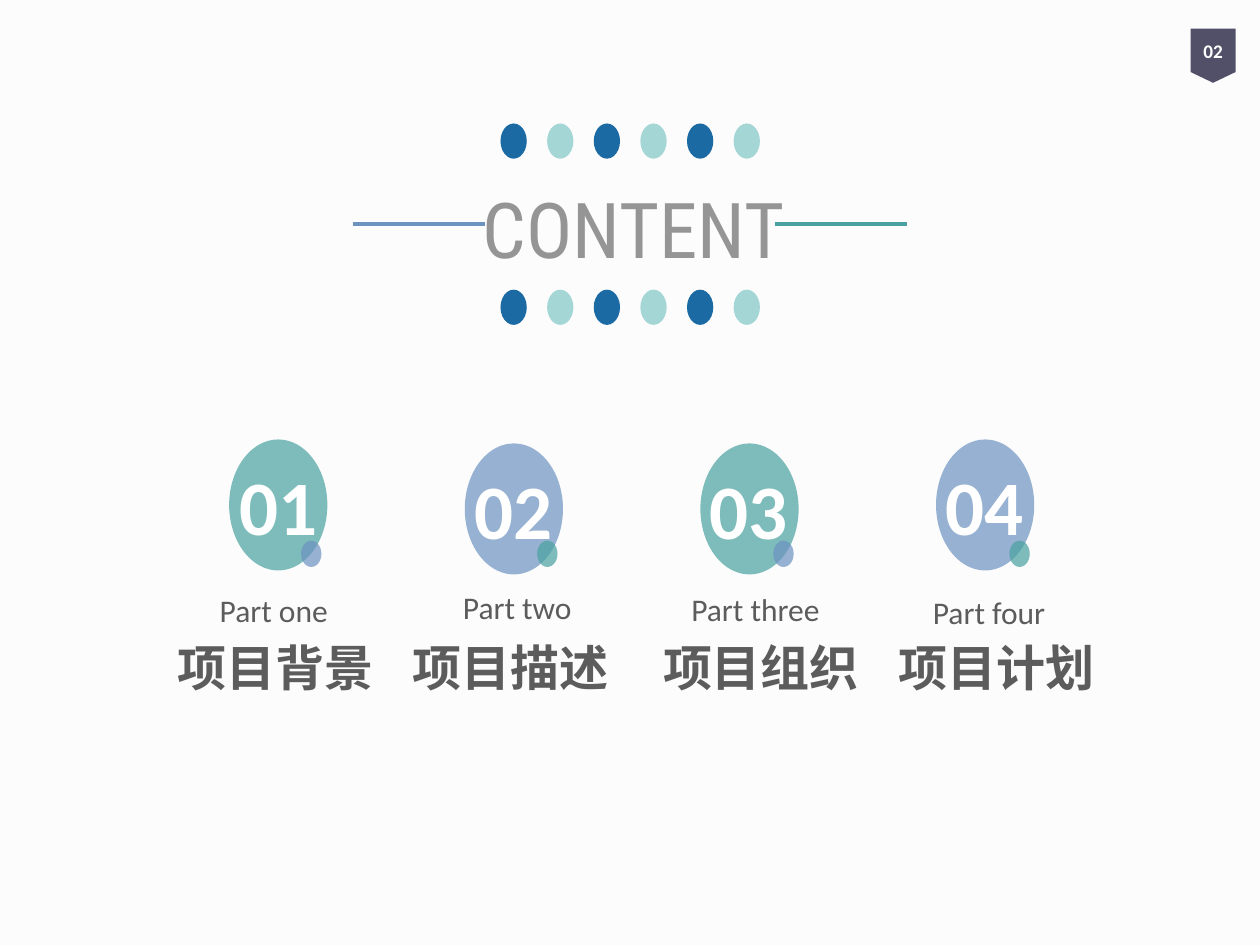
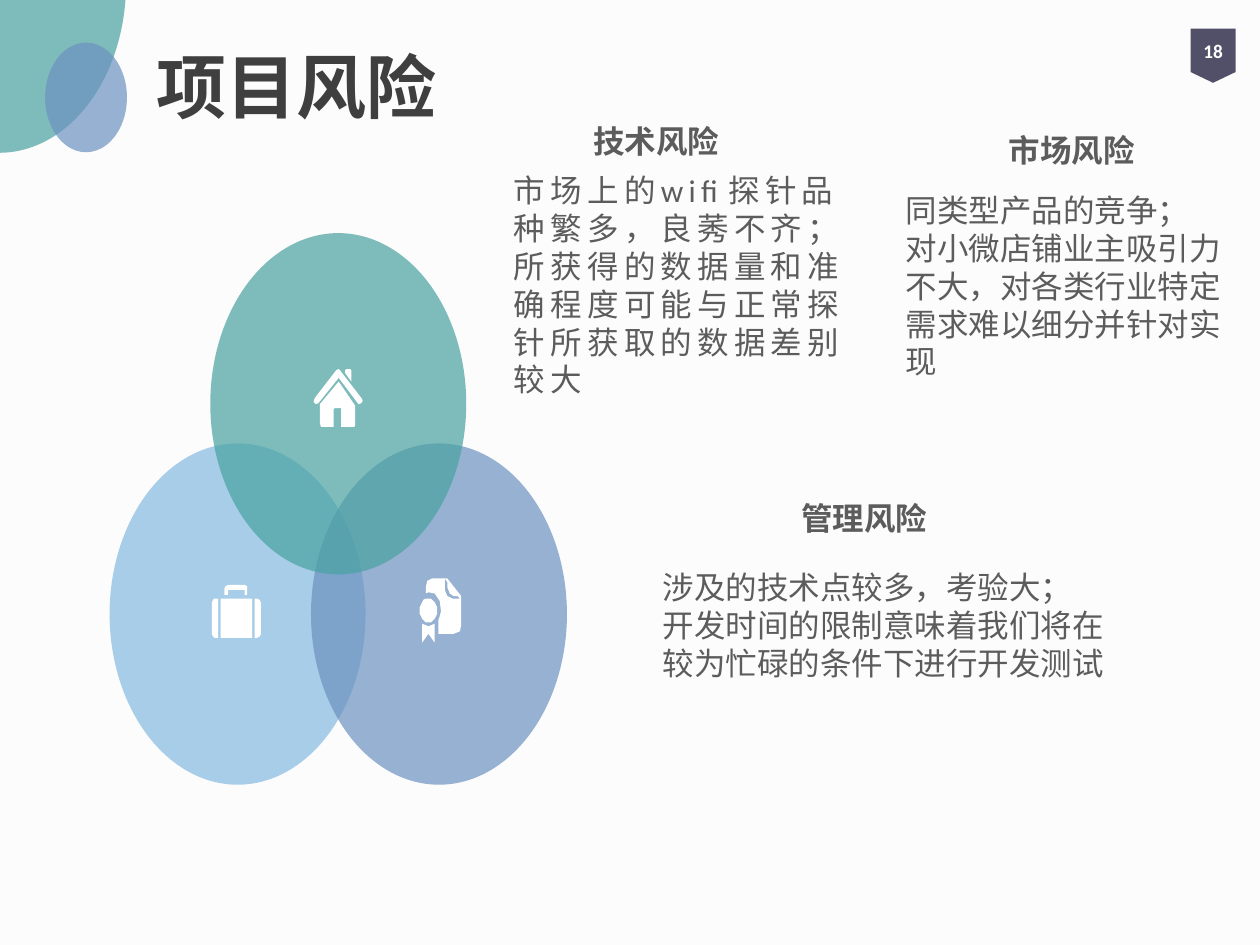
from math import cos, pi, sin

from lxml.etree import SubElement
from pptx import Presentation
from pptx.dml.color import RGBColor
from pptx.enum.lang import MSO_LANGUAGE_ID as Lang
from pptx.enum.shapes import MSO_CONNECTOR as Connector, MSO_SHAPE as Shape
from pptx.enum.text import MSO_ANCHOR as Anchor, MSO_AUTO_SIZE as AutoSize, PP_ALIGN as Align
from pptx.oxml.ns import qn
from pptx.util import Cm, Pt

# Shared colours
PAPER, WHITE, BADGE = "FCFCFC", "FFFFFF", "525068"
TEAL, PERIWINKLE, SKY = "48A2A0", "6C92C0", "0070C0"
NAVY, MINT = "1B6AA3", "A4D6D5"
GREY, LIGHT_GREY, DARK_GREY = "5C5C5C", "959595", "3F3F3F"

# Icon outlines, in hundredths of an inch from the icon's corner
MEDAL = [(7 + 7 * cos(pi * k / 12), 25.5 + 9.5 * sin(pi * k / 12)) for k in range(24)]
HOUSE_ICON = [
    [(30, 1), (29, 0), (26, 0), (25, 1), (25, 3), (30, 10)],
    [(38, 23), (21, 1), (19.5, 0.3), (18, 1), (1, 23), (0, 25.5), (1, 27), (2.5, 28),
     (4, 27), (20, 7), (35, 27), (36.5, 28.4), (38, 27), (38.8, 25)],
    [(5, 28), (5, 43), (6, 45.5), (8, 46), (16, 46), (16, 32), (17, 31), (22, 31),
     (22, 46), (32, 46), (33, 45), (33, 29), (20, 10)],
]
BRIEFCASE_ICON = [
    [(13, 4), (26, 4), (26, 8), (28, 8), (28, 3), (27.5, 1), (26, 0), (13, 0),
     (11, 1), (10, 3), (10, 8), (13, 8)],
    [(0, 14), (0, 39), (0.6, 41.4), (2, 42), (5, 42), (5, 11), (2, 11), (0.6, 11.6)],
    [(7, 42), (32, 42), (32, 11), (7, 11)],
    [(36, 11), (34, 11), (34, 42), (36, 42), (38.4, 41.4), (39, 39), (39, 14), (38.4, 11.6)],
]
CERTIFICATE_ICON = [
    [(22, 0), (10, 0), (6.5, 2), (5, 7), (5, 12), (7, 11), (11.5, 12.2), (15.5, 18),
     (17, 26), (16.5, 30), (15, 33), (15, 44), (27, 44), (31.5, 42), (33, 37), (33, 14)],
    [(26, 16), (21.5, 14), (20, 9), (20, 0), (22, 3), (22, 7), (23.5, 12), (27, 14),
     (30, 14), (32, 16)],
    [(2, 36), (2, 51), (7, 44), (12, 51), (12, 36), (7, 38)],
    MEDAL,
]


def rgb(hex_colour):
    return RGBColor.from_string(hex_colour)


def write(frame, text, size=18, color=GREY, font="Calibri", bold=False,
          align=Align.LEFT, wrap=True, anchor=Anchor.TOP, spacing=None):
    """Fill a text frame, one paragraph per line of text."""
    frame.word_wrap = wrap
    frame.auto_size = AutoSize.NONE
    frame.vertical_anchor = anchor
    for index, line in enumerate(text.split("\n")):
        paragraph = frame.add_paragraph() if index else frame.paragraphs[0]
        paragraph.alignment = align
        run = paragraph.add_run()
        run.text = line
        run.font.name, run.font.size, run.font.bold = font, Pt(size), bold
        run.font.color.rgb = rgb(color)
        run.font.language_id = Lang.SIMPLIFIED_CHINESE
        if spacing:
            run._r.get_or_add_rPr().set("spc", str(spacing * 100))


class Deck:
    def __init__(self):
        self.prs = Presentation()
        self.prs.slide_width, self.prs.slide_height = Cm(25.4), Cm(19.05)
        background = self.prs.slide_master.background.fill
        background.solid()
        background.fore_color.rgb = rgb(PAPER)
        self.slide = None

    def new_slide(self, page):
        """Add a title-only slide with its page badge."""
        self.slide = self.prs.slides.add_slide(self.prs.slide_layouts[5])
        badge = self.shape(Shape.FLOWCHART_OFFPAGE_CONNECTOR, 24, 0.58, 0.91, 1.09, BADGE)
        frame = badge.text_frame
        frame.margin_left = frame.margin_right = 0
        write(frame, page, size=11, color=WHITE, bold=True,
              align=Align.CENTER, anchor=Anchor.MIDDLE)

    def title(self, text, left, top, width, height, **style):
        title = self.slide.shapes.title
        title.left, title.top, title.width, title.height = map(Cm, (left, top, width, height))
        write(title.text_frame, text, wrap=False, **style)

    def text(self, text, left, top, width, height, **style):
        box = self.slide.shapes.add_textbox(*map(Cm, (left, top, width, height)))
        write(box.text_frame, text, **style)

    def paint(self, shape, color, opacity=100):
        shape.shadow.inherit = False
        shape.line.fill.background()
        shape.fill.solid()
        shape.fill.fore_color.rgb = rgb(color)
        if opacity < 100:
            tint = shape._element.spPr.find(qn("a:solidFill")).find(qn("a:srgbClr"))
            SubElement(tint, qn("a:alpha")).set("val", str(opacity * 1000))
        return shape

    def shape(self, preset, left, top, width, height, color, opacity=100):
        shape = self.slide.shapes.add_shape(preset, *map(Cm, (left, top, width, height)))
        return self.paint(shape, color, opacity)

    def ellipse(self, left, top, width, height, color, opacity=70):
        return self.shape(Shape.OVAL, left, top, width, height, color, opacity)

    def line(self, start, end, y, color):
        rule = self.slide.shapes.add_connector(
            Connector.STRAIGHT, Cm(start), Cm(y), Cm(end), Cm(y))
        rule.line.color.rgb, rule.line.width = rgb(color), Pt(2)
        SubElement(rule._element.spPr, qn("a:effectLst"))

    def icon(self, outlines, left, top):
        first, *others = outlines
        builder = self.slide.shapes.build_freeform(*first[0], scale=Cm(2.54) / 100)
        builder.add_line_segments(first[1:])
        for outline in others:
            builder.move_to(*outline[0])
            builder.add_line_segments(outline[1:])
        self.paint(builder.convert_to_shape(Cm(left), Cm(top)), WHITE)


def contents_slide(deck):
    deck.new_slide("02")

    # Heading between two rules and two rows of dots
    deck.title("CONTENT", 8.66, 3.53, 8.23, 2.36, size=44, font="Roboto Condensed",
               color=LIGHT_GREY, align=Align.CENTER)
    deck.line(7.11, 9.78, 4.52, PERIWINKLE)
    deck.line(15.62, 18.29, 4.52, TEAL)
    for row_top in (2.49, 5.84):
        for column in range(6):
            deck.ellipse(10.09 + 0.94 * column, row_top, 0.53, 0.71,
                         (NAVY, MINT)[column % 2], opacity=100)

    # Four parts: bubble top, label place, name place
    parts = [
        ("Part one", "项目背景", 8.86, 4.02, 11.79, 3.11),
        ("Part two", "项目描述", 8.94, 8.93, 11.73, 7.84),
        ("Part three", "项目组织", 8.94, 13.73, 11.76, 12.89),
        ("Part four", "项目计划", 8.86, 18.44, 11.84, 17.64),
    ]
    for index, (label, name, bubble_top, label_left, label_top, name_left) in enumerate(parts):
        bubble, dot = (TEAL, PERIWINKLE) if index % 2 == 0 else (PERIWINKLE, TEAL)
        deck.ellipse(4.62 + 4.75 * index, bubble_top, 1.98, 2.64, bubble)
        deck.text(f"{index + 1:02}", 4.57 + 4.74 * index, bubble_top + 0.25, 2.1, 2.13,
                  size=44, color=WHITE, bold=True, align=Align.CENTER, wrap=False)
        deck.ellipse(6.07 + 4.76 * index, 10.9, 0.41, 0.53, dot)
        deck.text(label, label_left, label_top, 3, 1.02, align=Align.CENTER, wrap=False)
        deck.text(name, name_left, 12.73, 4.9, 1.45, size=28, bold=True, align=Align.CENTER)


def risks_slide(deck):
    deck.new_slide("18")

    # Corner ornament and title
    deck.ellipse(-2.57, -3.73, 5.11, 6.81, TEAL)
    deck.ellipse(0.91, 0.86, 1.65, 2.21, PERIWINKLE)
    deck.title("项目风险", 2.9, 0.74, 6.22, 1.96, size=40, font="Cabin",
               color=DARK_GREY, bold=True)

    # Overlapping circles with icons
    for left, top, color, opacity in [(2.21, 8.94, SKY, 33), (6.27, 8.94, PERIWINKLE, 70),
                                      (4.24, 4.7, TEAL, 70)]:
        deck.ellipse(left, top, 5.16, 6.88, color, opacity)
    deck.icon(HOUSE_ICON, 6.32, 7.44)
    deck.icon(BRIEFCASE_ICON, 4.27, 11.79)
    deck.icon(CERTIFICATE_ICON, 8.46, 11.66)

    # Risk headings with their explanations
    risks = [
        ("技术风险", 11.71, 2.34,
         "市场上的wifi探针品种繁多，良莠不齐；所获得的数据量和准确程度可能与正常探针所获取的数据差别较大",
         (10.11, 3.33, 7.39, 5.64), 3),
        ("市场风险", 20.09, 2.51,
         "同类型产品的竞争；\n对小微店铺业主吸引力不大，对各类行业特定需求难以细分并针对实现",
         (18.01, 3.73, 7.39, 4.11), None),
        ("管理风险", 15.9, 9.93,
         "涉及的技术点较多，考验大；\n开发时间的限制意味着我们将在较为忙碌的条件下进行开发测试",
         (13.11, 11.33, 9.4, 2.57), None),
    ]
    for heading, left, top, explanation, area, spacing in risks:
        deck.text(heading, left, top, 3.1, 1.02, bold=True, wrap=False)
        deck.text(explanation, *area, spacing=spacing)


def main():
    deck = Deck()
    contents_slide(deck)
    risks_slide(deck)
    deck.prs.save("out.pptx")


if __name__ == "__main__":
    main()
